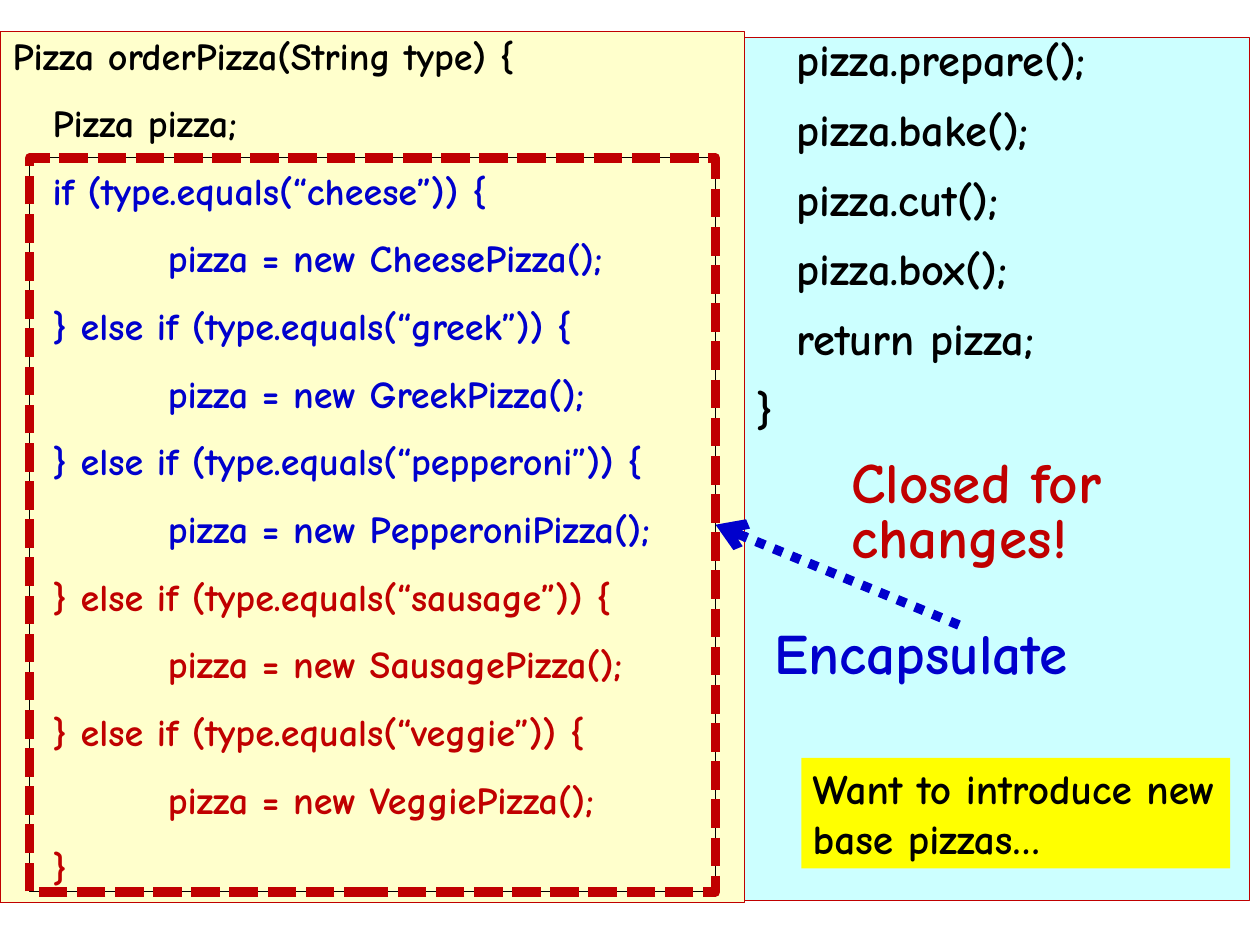
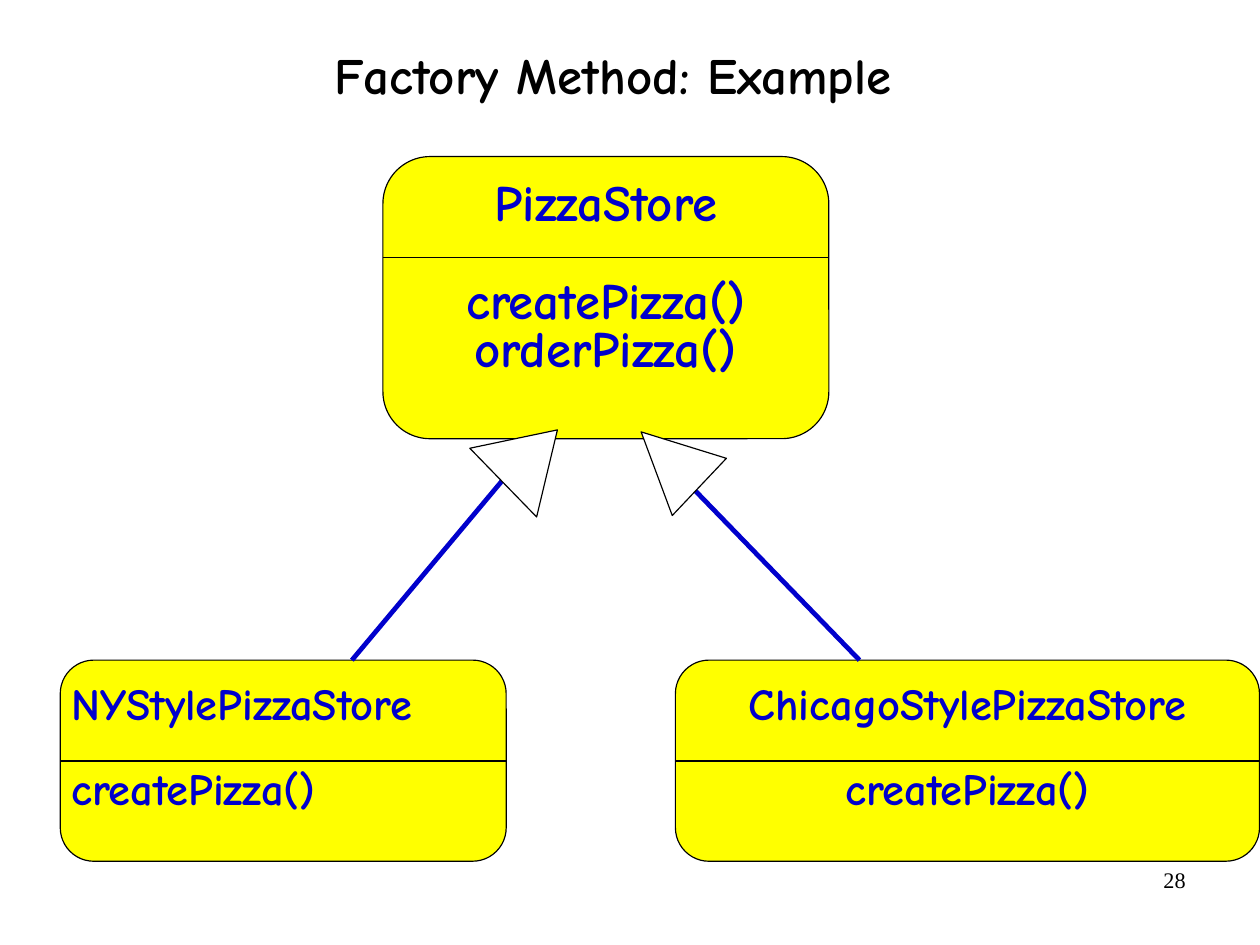
from dataclasses import dataclass
from typing import Optional

import pptx
import pptx.dml.color
import pptx.enum.dml
import pptx.enum.shapes
import pptx.enum.text
import pptx.oxml.ns
import pptx.util
from lxml import etree

Cm = pptx.util.Cm
Pt = pptx.util.Pt
Kind = pptx.enum.shapes.MSO_SHAPE
Dash = pptx.enum.dml.MSO_LINE
Align = pptx.enum.text.PP_ALIGN
Anchor = pptx.enum.text.MSO_ANCHOR


@dataclass(frozen=True)
class Theme:
    black: str = "000000"
    white: str = "FFFFFF"
    red: str = "C00000"
    blue: str = "0000CC"
    yellow: str = "FFFF00"
    cream: str = "FFFFCC"
    cyan: str = "CCFFFF"
    font: str = "Comic Neue"
    serif: str = "Times New Roman"
    large: int = 36
    head: int = 32
    mid: int = 28
    note: int = 26
    code: int = 24
    foot: int = 14
    thin: float = 0.75
    bold: float = 3
    thick: float = 6


@dataclass(frozen=True)
class Box:
    left: float
    top: float
    width: float
    height: float

    def cm(self) -> list:
        return [Cm(v) for v in (self.left, self.top, self.width, self.height)]


@dataclass(frozen=True)
class Pen:
    color: str
    width: float
    dash: Optional[Dash] = None


@dataclass(frozen=True)
class Style:
    size: int
    color: str = "000000"
    align: Align = Align.LEFT
    space: float = 1.0
    after: float = 0
    pad: bool = True
    font: str = "Comic Neue"
    bold: bool = True


@dataclass(frozen=True)
class Line:
    text: str
    depth: Optional[int] = None
    color: Optional[str] = None
    before: float = 0


@dataclass(frozen=True)
class Card:
    box: Box
    name: str
    calls: tuple
    size: int
    align: Align
    split: float


@dataclass(frozen=True)
class Link:
    start: tuple
    end: tuple
    tip: Box
    turn: float


THEME = Theme()
DEPTHS = (0.28, 1.17, 3.73)
THIN = Pen(THEME.black, THEME.thin)
EDGE = Pen(THEME.red, THEME.thin)


def rgb(color: str):
    return pptx.dml.color.RGBColor.from_string(color)


def stroke(line, pen: Pen) -> None:
    line.color.rgb = rgb(pen.color)
    line.width = Pt(pen.width)
    if pen.dash is not None:
        line.dash_style = pen.dash


def write(frame, lines: list, style: Style, anchor=Anchor.TOP) -> None:
    frame.word_wrap = True
    frame.auto_size = pptx.enum.text.MSO_AUTO_SIZE.NONE
    frame.vertical_anchor = anchor
    side, edge = (0.25, 0.13) if style.pad else (0, 0)
    frame.margin_left = frame.margin_right = Cm(side)
    frame.margin_top = frame.margin_bottom = Cm(edge)
    frame.text = "\n".join(line.text for line in lines)
    for line, para in zip(lines, frame.paragraphs):
        para.alignment = style.align
        para.line_spacing = style.space
        para.space_before = Pt(line.before)
        para.space_after = Pt(style.after)
        if line.depth is not None:
            props = para._p.get_or_add_pPr()
            props.set("marL", str(int(Cm(DEPTHS[line.depth]))))
            props.set("indent", "0")
        for run in para.runs:
            run.font.name = style.font
            run.font.size = Pt(style.size)
            run.font.bold = style.bold
            run.font.color.rgb = rgb(line.color or style.color)


def shape(slide, kind, box: Box, fill: Optional[str] = None, pen: Optional[Pen] = None):
    item = slide.shapes.add_shape(kind, *box.cm())
    item.shadow.inherit = False
    if fill:
        item.fill.solid()
        item.fill.fore_color.rgb = rgb(fill)
    else:
        item.fill.background()
    if pen:
        stroke(item.line, pen)
    else:
        item.line.fill.background()
    return item


def label(slide, box: Box, lines: list, style: Style) -> None:
    write(slide.shapes.add_textbox(*box.cm()).text_frame, lines, style)


def rule(slide, start: tuple, end: tuple, pen: Pen, tip: str = "") -> None:
    ends = [Cm(v) for v in (*start, *end)]
    item = slide.shapes.add_connector(pptx.enum.shapes.MSO_CONNECTOR.STRAIGHT, *ends)
    stroke(item.line, pen)
    qn = pptx.oxml.ns.qn
    if tip:
        etree.SubElement(item.line._get_or_add_ln(), qn("a:tailEnd"), type=tip)
    etree.SubElement(item._element.spPr, qn("a:effectLst"))


def card(slide, item: Card) -> None:
    box = item.box
    body = shape(slide, Kind.ROUNDED_RECTANGLE, box, THEME.yellow, THIN)
    body.adjustments[0] = 0.167
    lines = [Line(item.name)]
    for i, call in enumerate(item.calls):
        lines.append(Line(call, before=0 if i else round(item.size * 0.96, 1)))
    place = Box(box.left, box.top + 0.45, box.width, box.height - 1.2)
    label(slide, place, lines, Style(item.size, THEME.blue, item.align, 0.8))
    level = box.top + item.split
    rule(slide, (box.left, level), (box.left + box.width, level), THIN)


def link(slide, item: Link) -> None:
    rule(slide, item.start, item.end, Pen(THEME.blue, THEME.bold), "triangle")
    tip = shape(slide, Kind.ISOSCELES_TRIANGLE, item.tip, THEME.white, THIN)
    tip.rotation = item.turn


def order(deck) -> None:
    slide = deck.slides.add_slide(deck.slide_layouts[6])
    code = [Line("Pizza orderPizza(String type) {", 0), Line("Pizza pizza;", 1)]
    kinds = ("Cheese", "Greek", "Pepperoni", "Sausage", "Veggie")
    for i, kind in enumerate(kinds):
        color = THEME.blue if i < 3 else THEME.red
        start = "} else if" if i else "if"
        code.append(Line(f"{start} (type.equals(“{kind.lower()}”)) {{", 1, color))
        code.append(Line(f"pizza = new {kind}Pizza();", 2, color))
    code.append(Line("}", 1, THEME.red))
    left = shape(slide, Kind.RECTANGLE, Box(0, 0.71, 16.54, 19.35), THEME.cream, EDGE)
    write(left.text_frame, code, Style(THEME.code, after=13.8, pad=False))

    steps = ("pizza.prepare();", "pizza.bake();", "pizza.cut();", "pizza.box();", "return pizza;")
    rest = [Line(step, 1) for step in steps] + [Line("}", 0)]
    right = shape(slide, Kind.RECTANGLE, Box(16.54, 0.84, 11.23, 19.18), THEME.cyan, EDGE)
    write(right.text_frame, rest, Style(THEME.mid, space=0.9, after=13.8, pad=False))

    for pen in (THIN, Pen(THEME.red, THEME.thick, Dash.SQUARE_DOT)):
        shape(slide, Kind.RECTANGLE, Box(0.66, 3.51, 15.24, 16.31), pen=pen)
    label(slide, Box(16.97, 13.89, 8.69, 1.47), [Line("Encapsulate")],
          Style(THEME.large, THEME.blue, space=0.8))
    rule(slide, (21.31, 13.89), (15.9, 11.66),
         Pen(THEME.blue, THEME.thick, Dash.ROUND_DOT), "arrow")
    label(slide, Box(18.67, 10.08, 8.69, 2.69), [Line("Closed for changes!")],
          Style(THEME.large, THEME.red, space=0.8))
    note = shape(slide, Kind.RECTANGLE, Box(17.81, 16.84, 9.53, 2.46), THEME.yellow)
    write(note.text_frame, [Line("Want to introduce new base pizzas…")], Style(THEME.note))


def stores(deck) -> None:
    slide = deck.slides.add_slide(deck.slide_layouts[5])
    title = slide.shapes.title
    title.left, title.top, title.width, title.height = Box(0.66, 0, 25.93, 3.48).cm()
    write(title.text_frame, [Line("Factory Method: Example")],
          Style(THEME.head, align=Align.CENTER, space=0.88, pad=False), Anchor.MIDDLE)
    label(slide, Box(20.07, 19.13, 6.53, 1.45), [Line("28")],
          Style(THEME.foot, align=Align.RIGHT, font=THEME.serif, bold=False))
    cards = (
        Card(Box(8.51, 3.48, 9.91, 6.27), "PizzaStore",
             ("createPizza()", "orderPizza()"), THEME.head, Align.CENTER, 2.24),
        Card(Box(1.34, 14.67, 9.91, 4.47), "NYStylePizzaStore",
             ("createPizza()",), THEME.mid, Align.LEFT, 2.24),
        Card(Box(15.01, 14.67, 12.98, 4.47), "ChicagoStylePizzaStore",
             ("createPizza()",), THEME.mid, Align.CENTER, 2.24),
    )
    for item in cards:
        card(slide, item)
    links = (
        Link((7.82, 14.67), (11.94, 9.75), Box(10.72, 9.3, 2.13, 1.68), 45.8),
        Link((19.1, 14.67), (14.33, 9.75), Box(14.02, 9.32, 1.75, 1.78), 313.4),
    )
    for item in links:
        link(slide, item)


def main() -> None:
    deck = pptx.Presentation()
    deck.slide_width, deck.slide_height = Cm(28), Cm(21)
    order(deck)
    stores(deck)
    deck.save("out.pptx")


if __name__ == "__main__":
    main()
